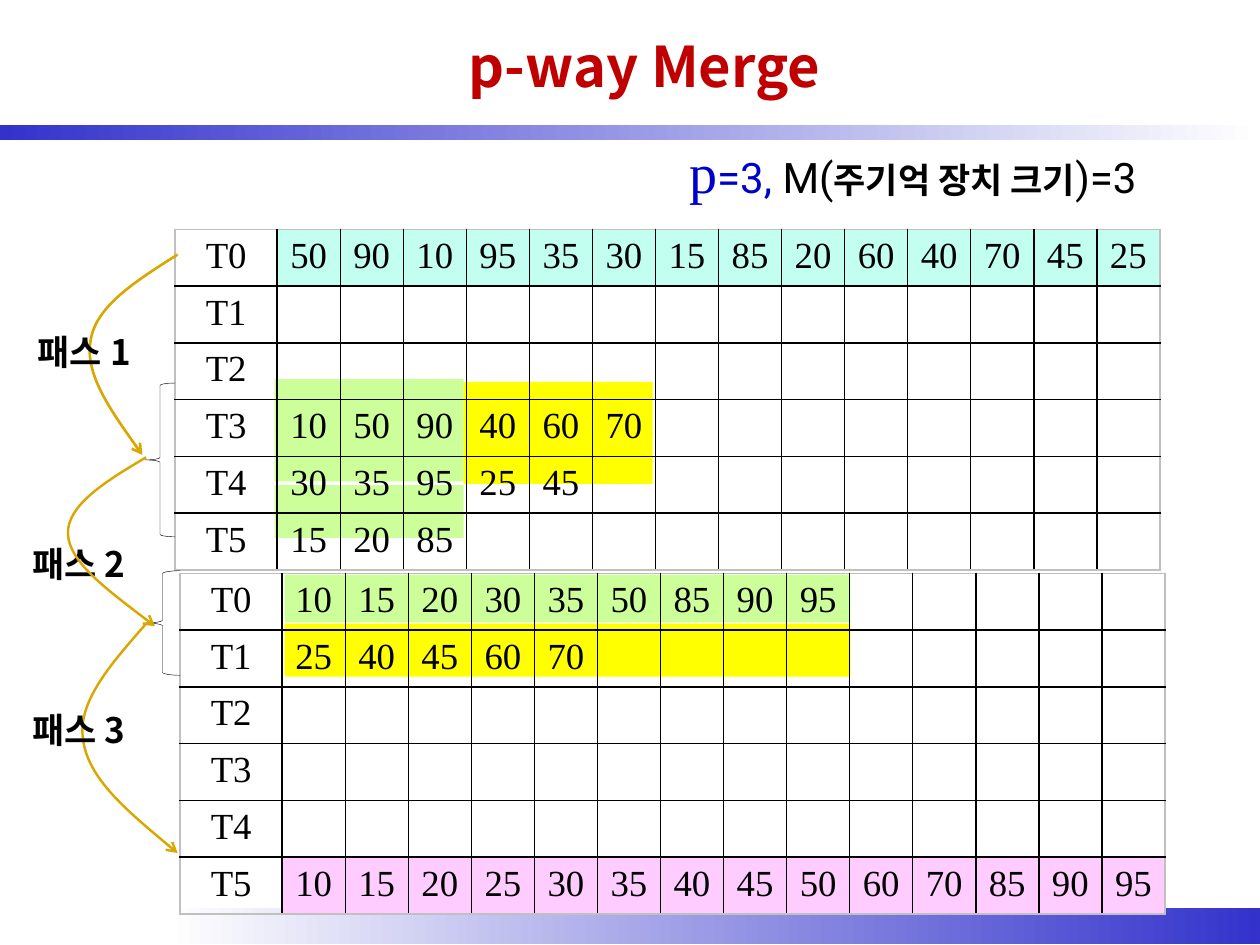
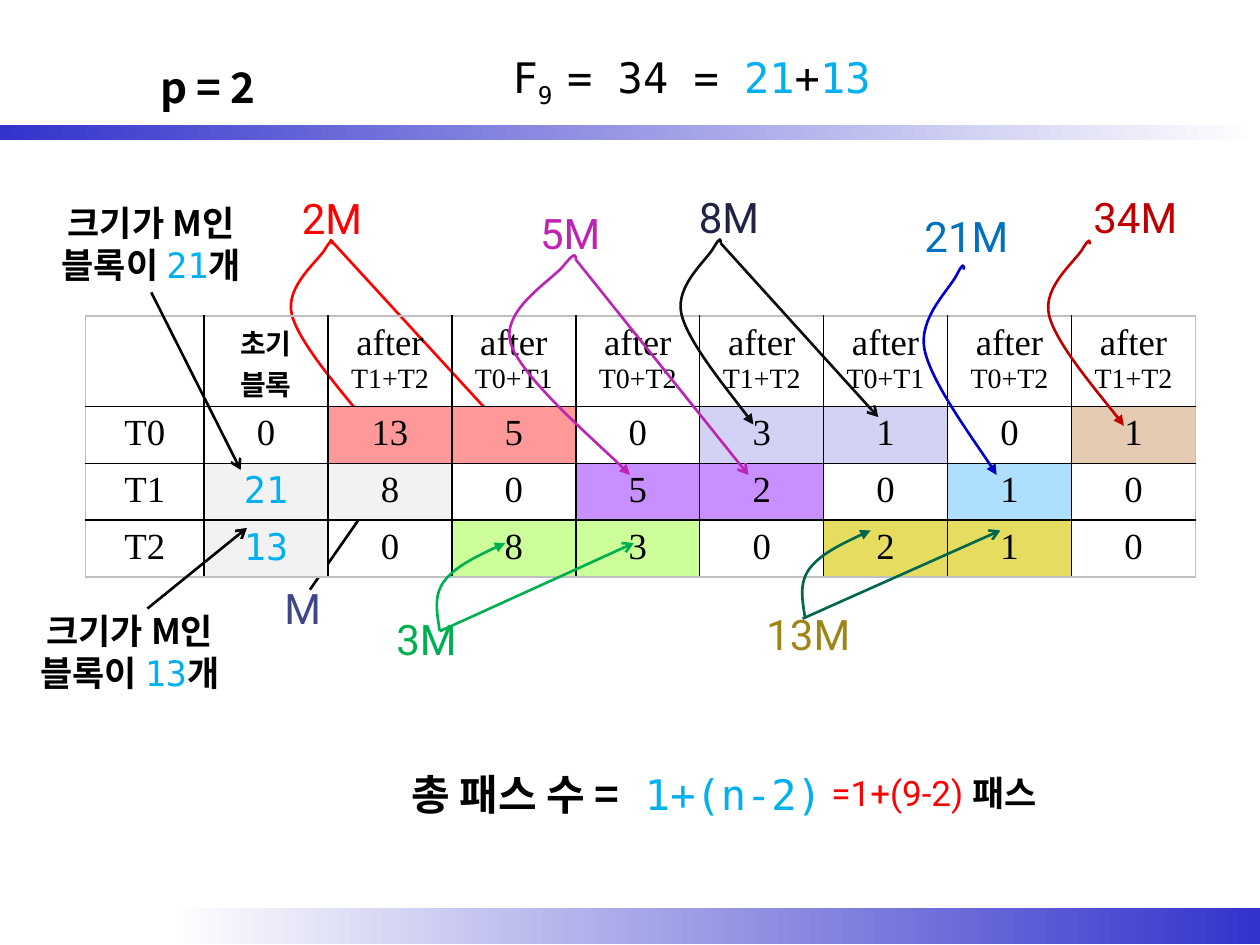
from typing import NamedTuple

from lxml.etree import SubElement
from pptx import Presentation
from pptx.dml.color import RGBColor
from pptx.enum.shapes import MSO_CONNECTOR, MSO_SHAPE
from pptx.enum.text import MSO_ANCHOR, MSO_AUTO_SIZE, PP_ALIGN
from pptx.oxml.ns import qn
from pptx.util import Inches, Pt

# Colours
BLACK = RGBColor(0x00, 0x00, 0x00)
WHITE = RGBColor(0xFF, 0xFF, 0xFF)
BAND_BLUE = RGBColor(0x33, 0x33, 0xCC)
DEEP_BLUE = RGBColor(0x00, 0x00, 0xCC)
SKY = RGBColor(0x00, 0xB0, 0xF0)
BLUE = RGBColor(0x00, 0x70, 0xC0)
CRIMSON = RGBColor(0xC0, 0x00, 0x00)
RED = RGBColor(0xFF, 0x00, 0x00)
GREEN = RGBColor(0x00, 0xB0, 0x50)
PINE = RGBColor(0x00, 0x66, 0x4D)
MAGENTA = RGBColor(0xBE, 0x24, 0xB3)
NAVY = RGBColor(0x20, 0x22, 0x46)
INDIGO = RGBColor(0x40, 0x45, 0x8C)
OLIVE = RGBColor(0x9F, 0x85, 0x18)
NEAR_BLACK = RGBColor(0x0D, 0x0D, 0x0D)
GOLD = RGBColor(0xDA, 0xA6, 0x00)
FRAME_GREY = RGBColor(0xC0, 0xC0, 0xC0)
LIME = RGBColor(0xCC, 0xFF, 0x99)
YELLOW = RGBColor(0xFF, 0xFF, 0x00)
MINT = RGBColor(0xC2, 0xFF, 0xF0)
PINK = RGBColor(0xFF, 0xCC, 0xFF)
SALMON = RGBColor(0xFF, 0x99, 0x99)
LAVENDER = RGBColor(0xD2, 0xD2, 0xF4)
TAN = RGBColor(0xE5, 0xCB, 0xB1)
PALE_GREY = RGBColor(0xF2, 0xF2, 0xF2)
VIOLET = RGBColor(0xC7, 0x8F, 0xFF)
PALE_BLUE = RGBColor(0xAF, 0xDF, 0xFF)
MUSTARD = RGBColor(0xE6, 0xDC, 0x60)

# Fonts
KOREAN = "Noto Sans CJK KR"
SANS = "Roboto"
MONO = "DejaVu Sans Mono"
SERIF = "Times New Roman"

# Bezier points in units of the way from start to end
HOOK = [(0, 0), (0, -.02), (0, -.04), (-.2, .02), (-.39, .09), (-1.4, .23),
        (-1.2, .39), (-1, .55), (.63, .9), (1, 1)]
SWOOP = [(0, 0), (-.04, .2), (-.1, .39), (.06, .56), (.23, .73), (.62, .87), (1, 1)]


class Run(NamedTuple):
    text: str
    font: str = SERIF
    size: float = 21
    color: RGBColor = BLACK
    bold: bool = False
    baseline: int = 0


def korean(text, size=20, color=BLACK):
    return Run(text, KOREAN, size, color, True)


# Text
def write_runs(paragraph, runs, align=PP_ALIGN.CENTER):
    paragraph.alignment = align
    for part in runs:
        run = paragraph.add_run()
        run.text = part.text
        run.font.name, run.font.size, run.font.bold = part.font, Pt(part.size), part.bold
        run.font.color.rgb = part.color
        run_props = run.font._element
        SubElement(run_props, qn("a:ea"), typeface=part.font)
        if part.baseline:
            run_props.set("baseline", str(part.baseline * 1000))


def add_text(slide, box, runs, align=PP_ALIGN.CENTER, wrap=True):
    frame = slide.shapes.add_textbox(*map(Inches, box)).text_frame
    frame.word_wrap = wrap
    frame.auto_size = MSO_AUTO_SIZE.SHAPE_TO_FIT_TEXT
    write_runs(frame.paragraphs[0], runs, align)
    return frame


def add_title(slide, box, text, size, color):
    frame = add_text(slide, box, [korean(text, size, color)])
    frame.auto_size = MSO_AUTO_SIZE.NONE
    frame.vertical_anchor = MSO_ANCHOR.MIDDLE


# Shapes
def add_block(slide, box, color):
    block = slide.shapes.add_shape(MSO_SHAPE.RECTANGLE, *map(Inches, box))
    block.shadow.inherit = False
    block.line.fill.background()
    block.fill.solid()
    block.fill.fore_color.rgb = color
    return block


def add_band(slide, box, colors):
    band = add_block(slide, box, WHITE)
    band.fill.gradient()
    band.fill.gradient_angle = 0
    for stop, color in zip(band.fill.gradient_stops, colors):
        stop.color.rgb = color


def add_brace(slide, box):
    brace = slide.shapes.add_shape(MSO_SHAPE.LEFT_BRACE, *map(Inches, box))
    brace.shadow.inherit = False
    brace.fill.background()
    brace.line.color.rgb = BLACK
    brace.line.width = Pt(0.25)


# Arrows
def style_arrow(arrow, color, head, width):
    arrow.line.color.rgb = color
    arrow.line.width = Pt(width)
    SubElement(arrow.element.spPr.find(qn("a:ln")), qn("a:tailEnd"), type=head)


def add_arrow(slide, start, end, color):
    arrow = slide.shapes.add_connector(MSO_CONNECTOR.STRAIGHT, *map(Inches, start + end))
    style_arrow(arrow, color, "arrow", 1.5)
    SubElement(arrow.element.spPr, qn("a:effectLst"))


def bend_segments(curve):
    """Turn each three straight segments into one cubic Bezier segment."""
    outline = next(curve.element.spPr.iter(qn("a:path")))
    straights = outline.findall(qn("a:lnTo"))
    for first in range(0, len(straights), 3):
        bezier = SubElement(outline, qn("a:cubicBezTo"))
        for straight in straights[first:first + 3]:
            bezier.append(straight[0])
            outline.remove(straight)


def add_curve(slide, points, color, head="arrow", width=1.5):
    track = [(Inches(x), Inches(y)) for x, y in points]
    builder = slide.shapes.build_freeform(*track[0])
    builder.add_line_segments(track[1:], close=False)
    curve = builder.convert_to_shape()
    bend_segments(curve)
    curve.shadow.inherit = False
    curve.fill.background()
    style_arrow(curve, color, head, width)


def add_bent_arrow(slide, bend, start, end, color):
    (x0, y0), (x1, y1) = start, end
    points = [(x0 + u * (x1 - x0), y0 + v * (y1 - y0)) for u, v in bend]
    add_curve(slide, points, color, "triangle")


# Tables
def add_border(cell, side, color):
    edge = SubElement(cell._tc.get_or_add_tcPr(), qn(f"a:ln{side}"), w=str(Pt(1)))
    SubElement(SubElement(edge, qn("a:solidFill")), qn("a:srgbClr"), val=str(color))


def add_grid(slide, box, first_width, rows, fills):
    """rows hold cells, a cell is a list of paragraphs; fills maps (row, column) to a colour."""
    last_row, last_col = len(rows) - 1, len(rows[0]) - 1
    table = slide.shapes.add_table(last_row + 1, last_col + 1, *map(Inches, box)).table
    table.first_row = table.horz_banding = False
    for index, column in enumerate(table.columns):
        column.width = Inches(first_width if index == 0 else (box[2] - first_width) / last_col)
    for r, row in enumerate(rows):
        for c, paragraphs in enumerate(row):
            cell = table.cell(r, c)
            outer = {"L": c == 0, "R": c == last_col, "T": r == 0, "B": r == last_row}
            for side, is_outer in outer.items():
                add_border(cell, side, FRAME_GREY if is_outer else BLACK)
            if (r, c) in fills:
                cell.fill.solid()
                cell.fill.fore_color.rgb = fills[r, c]
            else:
                cell.fill.background()
            frame = cell.text_frame
            for index, runs in enumerate(paragraphs):
                write_runs(frame.add_paragraph() if index else frame.paragraphs[0], runs)


def add_tapes(slide, left, top, tapes, filled_tape, color):
    """Six tapes T0 to T5 with room for 14 records each."""
    rows = []
    for tape in range(6):
        values = [f"T{tape}", *tapes.get(tape, "").split()]
        rows.append([[[Run(value)]] for value in values] + [[]] * (15 - len(values)))
    fills = {(filled_tape, column): color for column in range(1, 15)}
    add_grid(slide, (left, top, 7.82, 2.43), 0.81, rows, fills)


def new_slide(deck):
    slide = deck.slides.add_slide(deck.slide_layouts[6])
    add_band(slide, (1.33, 7.21, 8.67, 0.28), (WHITE, BAND_BLUE))
    add_band(slide, (0, 0.99, 10, 0.12), (BAND_BLUE, WHITE))
    return slide


def build_merge_slide(deck):
    slide = new_slide(deck)
    # Sorted blocks behind the tapes
    for box, color in [((2.18, 3.01, 1.5, 0.42), LIME), ((2.18, 3.4, 1.5, 0.42), LIME),
                       ((3.68, 3.03, 1.5, 0.42), YELLOW), ((3.68, 3.42, 1.5, 0.42), YELLOW),
                       ((2.18, 3.85, 1.5, 0.42), LIME), ((2.26, 4.56, 4.49, 0.38), LIME),
                       ((2.26, 4.95, 4.49, 0.42), YELLOW)]:
        add_block(slide, box, color)
    add_title(slide, (3.58, 0.15, 3.07, 0.74), "p-way Merge", 32, CRIMSON)
    add_text(slide, (5, 1.04, 4.49, 0.64), [
        Run("p", SERIF, 32, DEEP_BLUE), Run("=3, ", SANS, 24, DEEP_BLUE),
        Run("M(", SANS, 24), korean("주기억 장치 크기"), Run(")=3", SANS, 24)])
    add_tapes(slide, 1.39, 1.82, {
        0: "50 90 10 95 35 30 15 85 20 60 40 70 45 25",
        3: "10 50 90 40 60 70", 4: "30 35 95 25 45", 5: "15 20 85"}, 0, MINT)
    add_tapes(slide, 1.43, 4.55, {
        0: "10 15 20 30 35 50 85 90 95", 1: "25 40 45 60 70",
        5: "10 15 20 25 30 35 40 45 50 60 70 85 90 95"}, 5, PINK)
    # Passes
    add_brace(slide, (1.15, 3.04, 0.24, 1.22))
    add_curve(slide, [(1.41, 2.02), (1.08, 2.23), (.76, 2.43), (.72, 2.7),
                      (.67, 2.96), (.9, 3.29), (1.13, 3.61)], GOLD)
    add_brace(slide, (1.15, 4.53, 0.28, 0.83))
    add_curve(slide, [(1.16, 4.95), (.89, 5.26), (.61, 5.57), (.66, 5.87),
                      (.7, 6.18), (1.05, 6.47), (1.41, 6.77)], GOLD, width=1.38)
    for number, (left, top) in enumerate([(0.2, 2.57), (0.16, 4.26), (0.16, 5.57)], 1):
        add_text(slide, (left, top, 1.1, 0.45), [korean(f"패스 {number}")], PP_ALIGN.LEFT)
    add_curve(slide, [(1.16, 3.63), (.84, 3.82), (.53, 4.01), (.54, 4.24),
                      (.55, 4.46), (.89, 4.71), (1.23, 4.97)], GOLD, width=1.38)


def add_block_count(slide, left, top, count):
    add_text(slide, (left, top, 1.66, 0.77), [
        korean("크기가 M인 블록이 "), Run(count, MONO, 20, SKY), korean("개")])


def add_block_table(slide):
    header = [[], [[korean("초기", 16)], [korean("블록", 16)]]]
    for merged in "T1+T2 T0+T1 T0+T2 T1+T2 T0+T1 T0+T2 T1+T2".split():
        header.append([[Run("after")], [Run(merged, size=16)]])
    counts = ["T0 0 13 5 0 3 1 0 1", "T1 21 8 0 5 2 0 1 0", "T2 13 0 8 3 0 2 1 0"]
    rows = [header] + [[[[Run(value)]] for value in line.split()] for line in counts]
    for row, initial in ((2, "21"), (3, "13")):
        rows[row][1] = [[Run(initial, MONO, 21, SKY)]]
    fills = {(1, 2): SALMON, (1, 3): SALMON, (1, 5): LAVENDER, (1, 6): LAVENDER, (1, 8): TAN,
             (2, 1): PALE_GREY, (2, 2): PALE_GREY, (2, 4): VIOLET, (2, 5): VIOLET,
             (2, 7): PALE_BLUE, (3, 1): PALE_GREY, (3, 3): LIME, (3, 4): LIME,
             (3, 6): MUSTARD, (3, 7): MUSTARD}
    add_grid(slide, (0.68, 2.51, 8.81, 1.28), 0.94, rows, fills)


def build_fibonacci_slide(deck):
    slide = new_slide(deck)
    add_title(slide, (0.35, 0.44, 2.6, 0.5), "p = 2", 24, BLACK)
    add_text(slide, (3.97, 0.36, 3.23, 0.5), [
        Run("F", MONO, 24), Run("9 ", MONO, 24, baseline=-25), Run("= 34 = ", MONO, 24),
        Run("21", MONO, 24, SKY), Run("+", MONO, 24), Run("13", MONO, 24, SKY)], PP_ALIGN.LEFT)
    # Block sizes
    for size, left, top, width, color in [
            ("2M", 2.16, 1.48, 0.95, RED), ("3M", 2.91, 4.82, 0.95, GREEN),
            ("5M", 4.05, 1.6, 0.95, MAGENTA), ("8M", 5.31, 1.47, 0.95, NAVY),
            ("13M", 5.94, 4.78, 0.95, OLIVE), ("21M", 7.2, 1.62, 0.94, BLUE),
            ("34M", 8.54, 1.47, 0.94, CRIMSON), ("M", 2.16, 4.57, 0.47, INDIGO)]:
        add_text(slide, (left, top, width, 0.51), [Run(size, SANS, 24, color)])
    add_block_count(slide, 0.37, 1.55, "21")
    add_block_count(slide, 0.2, 4.79, "13")
    # Arrows that run behind the table
    add_bent_arrow(slide, HOOK, (2.64, 1.94), (2.91, 3.36), RED)
    add_arrow(slide, (2.62, 1.9), (3.96, 3.36), RED)
    add_arrow(slide, (2.46, 4.68), (3.01, 3.89), BLACK)
    add_block_table(slide)
    # Arrows over the table
    for bend, start, end, color in [
            (SWOOP, (3.49, 5.01), (4.01, 4.31), GREEN), (HOOK, (7.65, 2.14), (7.91, 3.77), DEEP_BLUE),
            (HOOK, (8.65, 1.94), (8.92, 3.38), CRIMSON), (HOOK, (4.57, 2.06), (5, 3.77), MAGENTA),
            (HOOK, (5.72, 1.93), (5.98, 3.37), NEAR_BLACK), (SWOOP, (6.39, 4.91), (6.91, 4.21), PINE)]:
        add_bent_arrow(slide, bend, start, end, color)
    for start, end, color in [
            ((4.57, 2.06), (5.94, 3.77), MAGENTA), ((1.2, 2.32), (1.91, 3.73), BLACK),
            ((1.17, 4.83), (1.96, 4.19), BLACK), ((5.72, 1.93), (6.97, 3.31), NEAR_BLACK),
            ((6.37, 4.91), (7.94, 4.21), PINE), ((3.49, 5.01), (5.03, 4.31), GREEN)]:
        add_arrow(slide, start, end, color)
    # Number of passes
    add_text(slide, (3.17, 6.05, 3.64, 0.5), [
        korean("총 패스 수 =", 24), Run(" 1+(n-2)", MONO, 24, SKY)], PP_ALIGN.LEFT, wrap=False)
    add_text(slide, (6.5, 6.07, 2.6, 0.44), [
        Run("=1+(9-2) ", SANS, 20, RED), korean("패스")], PP_ALIGN.LEFT)


def main():
    deck = Presentation()
    deck.slide_width, deck.slide_height = Inches(10), Inches(7.5)
    build_merge_slide(deck)
    build_fibonacci_slide(deck)
    deck.save("out.pptx")


if __name__ == "__main__":
    main()
